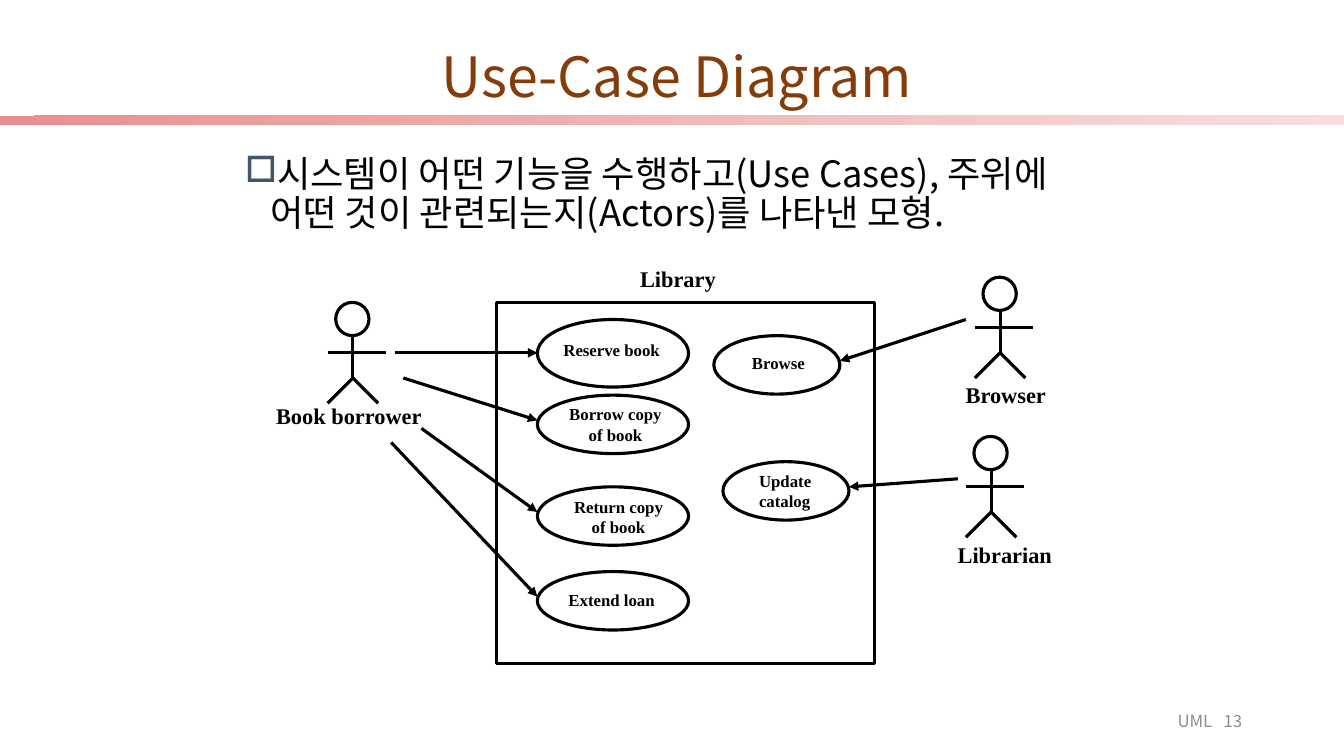
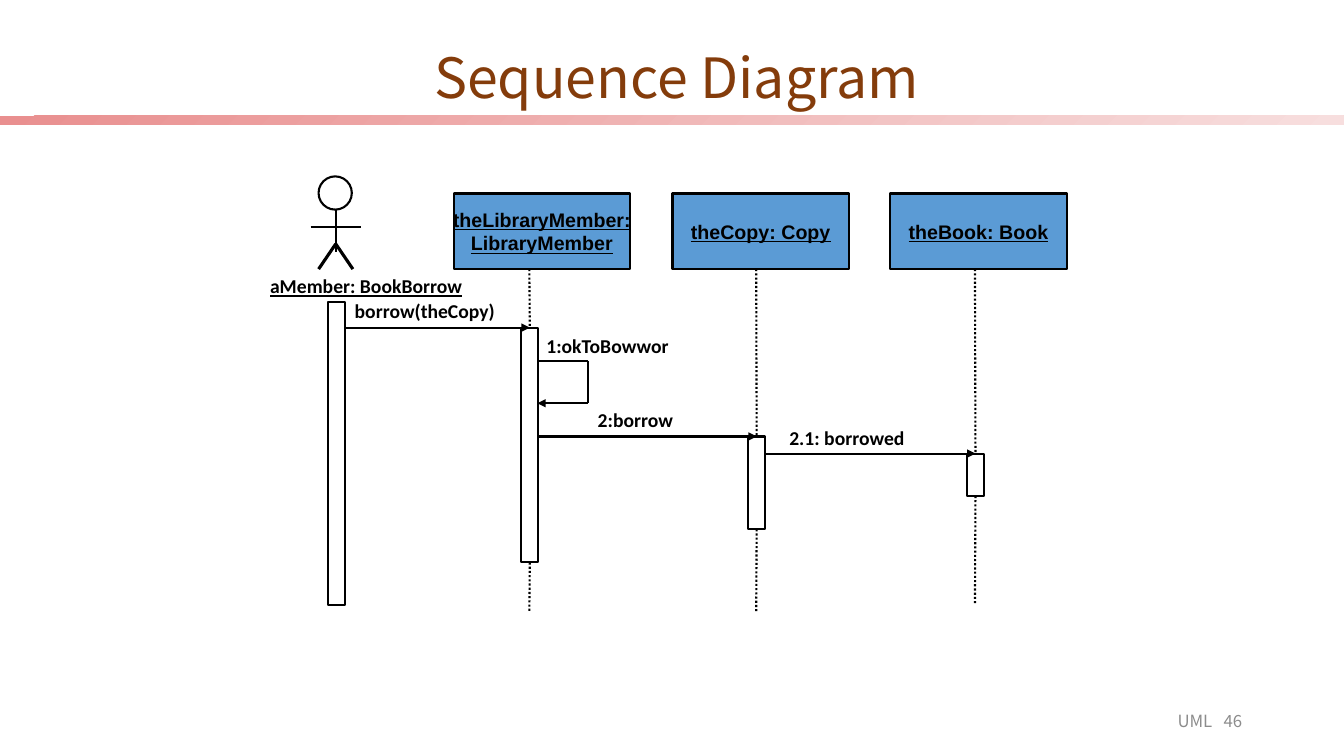
from dataclasses import dataclass
from typing import Any

from lxml import etree
from pptx import Presentation
from pptx.dml.color import RGBColor
from pptx.enum import dml, shapes, text
from pptx.oxml.ns import qn
from pptx.util import Inches, Pt

# Shared colours, fonts and text styles
BLACK, BROWN, GREY, BLUE, SLATE = "000000", "843C0B", "8C8C8C", "5B9BD5", "44546A"
BAND_COLOURS = ("E98F8F", "F7DEDE")
SANS = "Noto Sans CJK KR"
LEFT, CENTER, RIGHT = text.PP_ALIGN.LEFT, text.PP_ALIGN.CENTER, text.PP_ALIGN.RIGHT
MIDDLE = text.MSO_ANCHOR.MIDDLE

TITLE = {"name": SANS, "size": Pt(39.6)}
BODY = {"name": SANS, "size": Pt(25.9)}
FOOTER = {"name": SANS, "size": Pt(12)}
NAME = {"name": "Times New Roman", "size": Pt(16), "bold": True}
CASE = NAME | {"size": Pt(12)}
MESSAGE = {"name": "Calibri", "size": Pt(14), "bold": True}
OBJECT = {"name": "Arial", "size": Pt(14), "bold": True, "underline": True}

Point = tuple[float, float]
Box = tuple[float, float, float, float]


@dataclass
class Label:
    text: str
    box: Box
    style: dict[str, Any]
    align: Any = LEFT


@dataclass
class UseCase:
    oval: Box
    label: Label


@dataclass
class Actor:
    """Stick figure; offsets are measured from the top centre of the head."""
    x: float
    y: float
    weight: float = 2.25
    right_arm: float = 0.33
    hip: float = 0.75
    stride: float = 0.25


@dataclass
class Participant:
    """Object box with its lifeline and activation bar."""
    name: str
    left: float
    x: float
    bar_top: float
    bar_height: float
    end: float


def colour(value: str) -> RGBColor:
    return RGBColor.from_string(value)


def write(shape: Any, content: str, style: dict[str, Any], align: Any = LEFT,
          ink: str = BLACK, **frame_format: Any) -> None:
    """Fill a shape with one paragraph per line."""
    frame = shape.text_frame
    for key, value in frame_format.items():
        setattr(frame, key, value)
    frame.text = content
    for paragraph in frame.paragraphs:
        paragraph.alignment = align
        for run in paragraph.runs:
            for key, value in style.items():
                setattr(run.font, key, value)
            run.font.color.rgb = colour(ink)
            east_asian = etree.SubElement(run.font._element, qn("a:ea"))
            east_asian.set("typeface", style["name"])


def add_text(slide: Any, box: Box) -> Any:
    return slide.shapes.add_textbox(*map(Inches, box))


def add_label(slide: Any, label: Label) -> None:
    write(add_text(slide, label.box), label.text, label.style, label.align,
          word_wrap=False, auto_size=text.MSO_AUTO_SIZE.SHAPE_TO_FIT_TEXT)


def add_outline(slide: Any, kind: Any, box: Box, weight: float, fill: str = "") -> Any:
    shape = slide.shapes.add_shape(kind, *map(Inches, box))
    shape.shadow.inherit = False
    if fill:
        shape.fill.solid()
        shape.fill.fore_color.rgb = colour(fill)
    else:
        shape.fill.background()
    shape.line.color.rgb = colour(BLACK)
    shape.line.width = Pt(weight)
    return shape


def add_line(slide: Any, start: Point, end: Point, weight: float,
             arrow: bool = False, dotted: bool = False) -> Any:
    line = slide.shapes.add_connector(shapes.MSO_CONNECTOR.STRAIGHT,
                                      *map(Inches, (*start, *end)))
    line.line.color.rgb = colour(BLACK)
    line.line.width = Pt(weight)
    if dotted:
        line.line.dash_style = dml.MSO_LINE.ROUND_DOT
    properties = line._element.spPr
    if arrow:
        etree.SubElement(properties.find(qn("a:ln")), qn("a:tailEnd")).set("type", "triangle")
    etree.SubElement(properties, qn("a:effectLst"))
    return line


def add_actor(slide: Any, actor: Actor) -> None:
    x, y = actor.x, actor.y
    add_outline(slide, shapes.MSO_SHAPE.OVAL, (x - 0.17, y, 0.33, 0.33), actor.weight)
    add_line(slide, (x - 0.25, y + 0.5), (x + actor.right_arm, y + 0.5), actor.weight)
    add_line(slide, (x, y + 0.33), (x, y + 0.75), actor.weight)
    for side in (-1, 1):
        foot = (x + side * actor.stride, y + actor.hip + 0.25)
        add_line(slide, (x, y + actor.hip), foot, 2.25)


def add_slide(presentation: Any, heading: str, title_box: Box, number: int) -> Any:
    """Start a slide with the band, title and footer that all slides share."""
    slide = presentation.slides.add_slide(presentation.slide_layouts[5])
    band = add_outline(slide, shapes.MSO_SHAPE.RECTANGLE, (0, 1.15, 13.33, 0.09), 1)
    band.line.fill.background()
    band.fill.gradient()
    band.fill.gradient_angle = 315
    for stop, value in zip(band.fill.gradient_stops, BAND_COLOURS):
        stop.color.rgb = colour(value)

    title = slide.shapes.title
    title.left, title.top, title.width, title.height = map(Inches, title_box)
    write(title, heading, TITLE, CENTER, BROWN, vertical_anchor=MIDDLE,
          word_wrap=True, auto_size=text.MSO_AUTO_SIZE.NONE)
    title.text_frame.paragraphs[0].line_spacing = 0.9

    write(add_text(slide, (9.42, 6.95, 3, 0.4)), f"UML   {number}", FOOTER, RIGHT, GREY,
          vertical_anchor=MIDDLE, word_wrap=True)
    return slide


def add_bullet(slide: Any, content: str, box: Box) -> None:
    shape = add_text(slide, box)
    write(shape, content, BODY, word_wrap=True)
    paragraph = shape.text_frame.paragraphs[0]
    paragraph.line_spacing = 0.9
    paragraph.space_before = Pt(10)
    properties = paragraph._p.get_or_add_pPr()
    properties.set("marL", str(Inches(0.25)))
    properties.set("indent", str(-Inches(0.25)))
    bullet_colour = etree.SubElement(properties, qn("a:buClr"))
    etree.SubElement(bullet_colour, qn("a:srgbClr")).set("val", SLATE)
    etree.SubElement(properties, qn("a:buChar")).set("char", "□")


def build_use_cases(presentation: Any) -> None:
    slide = add_slide(presentation, "Use-Case Diagram", (0.6, 0.48, 12.22, 0.61), 13)
    add_bullet(slide, "시스템이 어떤 기능을 수행하고(Use Cases), 주위에 어떤 것이 "
               "관련되는지(Actors)를 나타낸 모형.", (2.33, 1.5, 8.75, 1.08))

    # System boundary and use cases
    add_outline(slide, shapes.MSO_SHAPE.RECTANGLE, (4.92, 3, 3.75, 3.58), 2.25)
    use_cases = (
        UseCase((5.33, 3.17, 1.5, 0.67),
                Label("Reserve book", (5.49, 3.32, 1.17, 0.3), CASE)),
        UseCase((5.33, 3.92, 1.5, 0.58),
                Label("Borrow copy\nof book", (5.54, 3.96, 1.13, 0.5), CASE, CENTER)),
        UseCase((5.33, 4.83, 1.5, 0.58),
                Label("Return copy\nof book", (5.59, 4.88, 1.09, 0.5), CASE, CENTER)),
        UseCase((5.33, 5.67, 1.5, 0.58),
                Label("Extend loan", (5.54, 5.8, 1.07, 0.3), CASE)),
        UseCase((7.08, 3.33, 1.25, 0.58),
                Label("Browse", (7.36, 3.45, 0.73, 0.3), CASE)),
        UseCase((7.17, 4.58, 1.25, 0.58),
                Label("Update\ncatalog", (7.43, 4.62, 0.72, 0.5), CASE)),
    )
    for use_case in use_cases:
        add_outline(slide, shapes.MSO_SHAPE.OVAL, use_case.oval, 2.25)
        add_label(slide, use_case.label)

    # Actors and names
    for x, y in ((3.5, 3), (9.92, 2.75), (9.83, 4.33)):
        add_actor(slide, Actor(x, y))
    for name, box in (("Library", (6.25, 2.58, 0.95, 0.37)),
                      ("Book borrower", (2.64, 3.94, 1.65, 0.37)),
                      ("Browser", (9.48, 3.73, 1, 0.37)),
                      ("Librarian", (9.4, 5.32, 1.14, 0.37))):
        add_label(slide, Label(name, box, NAME))

    # Associations from actor to use case
    for start, end in (((3.92, 3.5), (5.33, 3.5)), ((4, 3.75), (5.33, 4.17)),
                       ((4.18, 4.25), (5.33, 5.08)), ((3.88, 4.39), (5.33, 5.92)),
                       ((9.58, 3.17), (8.33, 3.58)), ((9.5, 4.75), (8.42, 4.83))):
        add_line(slide, start, end, 2.25, arrow=True)


def add_participant(slide: Any, participant: Participant) -> Any:
    """Draw the object box, bar and lifeline, and return the bar."""
    x, top = participant.x, participant.bar_top
    bottom = top + participant.bar_height
    header = add_outline(slide, shapes.MSO_SHAPE.RECTANGLE,
                         (participant.left, 1.92, 1.75, 0.75), 1.5, BLUE)
    write(header, participant.name, OBJECT, CENTER, vertical_anchor=MIDDLE, word_wrap=False)
    bar = add_outline(slide, shapes.MSO_SHAPE.RECTANGLE,
                      (x - 0.08, top, 0.17, participant.bar_height), 1.5)
    add_line(slide, (x, 2.67), (x, top), 1.5, dotted=True).end_connect(bar, 0)
    add_line(slide, (x, bottom), (x, participant.end), 1.5, dotted=True).begin_connect(bar, 2)
    return bar


def build_sequence(presentation: Any) -> None:
    slide = add_slide(presentation, "Sequence Diagram", (0.6, 0.51, 12.22, 0.58), 46)

    # Borrower and its activation bar
    add_actor(slide, Actor(3.33, 1.75, 1.5, right_arm=0.25, hip=0.67, stride=0.17))
    add_label(slide, Label("aMember: BookBorrow", (2.58, 2.67, 2.78, 0.34),
                           MESSAGE | {"underline": True}))
    add_outline(slide, shapes.MSO_SHAPE.RECTANGLE, (3.25, 3, 0.17, 3), 1.5)

    # Each participant is called by a message that reaches the top of its bar
    participants = (
        Participant("theLibraryMember:\nLibraryMember", 4.5, 5.25, 3.25, 2.33, 6.08),
        Participant("theCopy: Copy", 6.67, 7.5, 4.33, 0.92, 6.08),
        Participant("theBook: Book", 8.83, 9.67, 4.5, 0.42, 6),
    )
    for participant, sender in zip(participants, (3.42, 5.33, 7.58)):
        bar = add_participant(slide, participant)
        message = add_line(slide, (sender, participant.bar_top),
                           (participant.x, participant.bar_top), 1.5, arrow=True)
        message.end_connect(bar, 0)

    # Call from the library member to itself
    loop = ((5.33, 3.58), (5.83, 3.58), (5.83, 4), (5.33, 4))
    for start, end in zip(loop, loop[1:]):
        add_line(slide, start, end, 1.5, arrow=end == loop[-1])

    for content, box in (("borrow(theCopy)", (3.42, 2.92, 2.13, 0.34)),
                         ("1:okToBowwor", (5.32, 3.26, 1.88, 0.34)),
                         ("2:borrow", (5.83, 4, 1.27, 0.34)),
                         ("2.1: borrowed", (7.73, 4.18, 1.76, 0.34))):
        add_label(slide, Label(content, box, MESSAGE))


def main() -> None:
    presentation = Presentation()
    presentation.slide_width, presentation.slide_height = Inches(13.33), Inches(7.5)
    build_use_cases(presentation)
    build_sequence(presentation)
    presentation.save("out.pptx")


if __name__ == "__main__":
    main()
